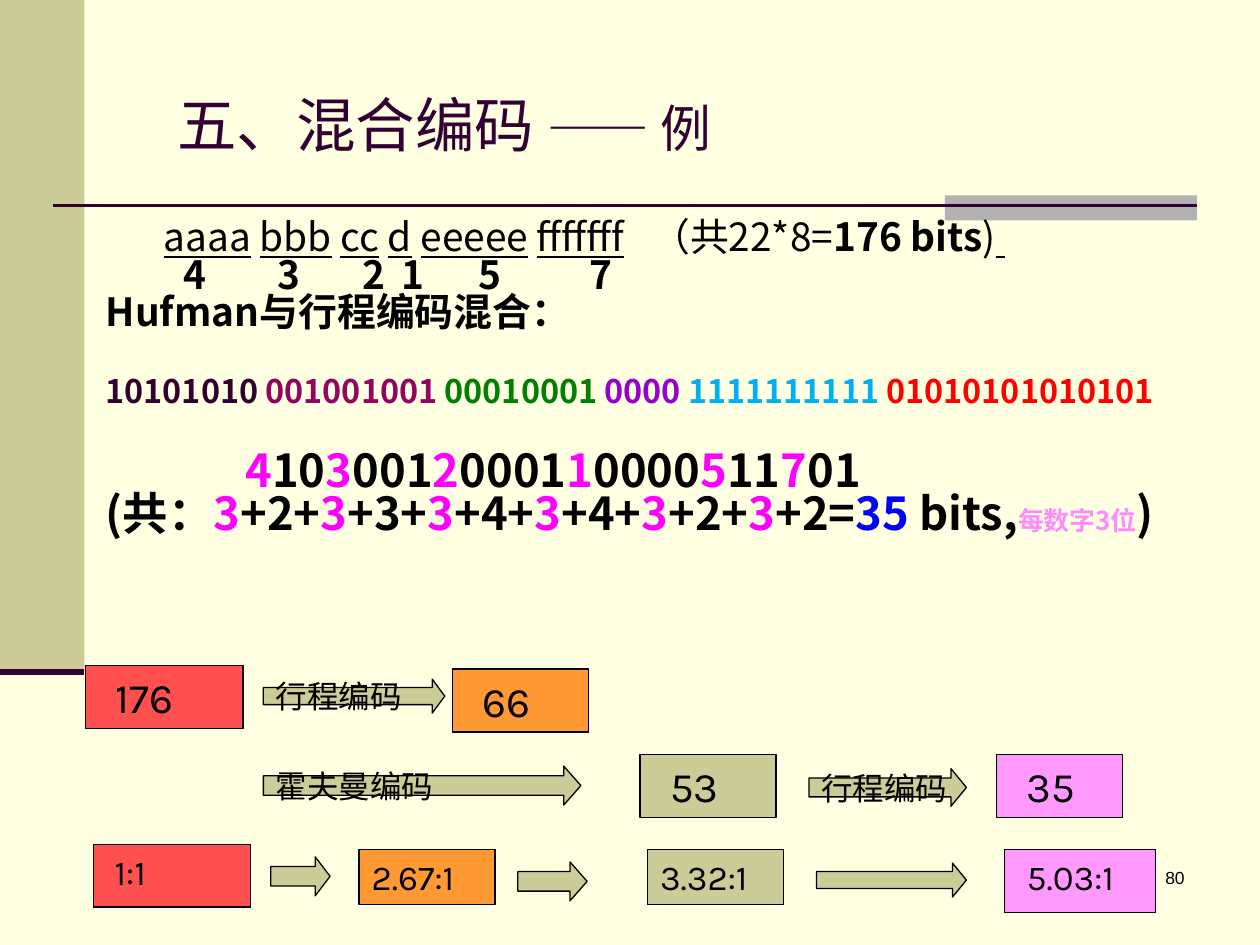
import collections

import pptx
import pptx.dml.color
import pptx.enum.shapes
import pptx.enum.text
import pptx.oxml.ns
import pptx.util
from lxml import etree

COLORS = {
    "cream": "FFFFE1", "khaki": "CCCC99", "grey": "B2B2B2", "plum": "330033",
    "black": "000000", "wine": "92045F", "green": "008000", "violet": "9900CC",
    "sky": "00B0F0", "red": "FF0000", "magenta": "FF00FF", "blue": "0000FF",
    "pink": "FF8CFF", "coral": "FF5050", "orange": "FF9933", "rose": "FF99FF",
}
HAN = "Noto Sans CJK SC"
UNIT = pptx.util.Inches(0.1)  # the slide is a grid of 100 columns by 75 rows
SHAPES = pptx.enum.shapes.MSO_SHAPE
ANCHORS = pptx.enum.text.MSO_ANCHOR
Box = collections.namedtuple("Box", "left top width height")


def within(box, left, top, width, height):
    """Place a box by its offset in columns and rows from a parent box."""
    return Box(box.left + left, box.top + top, width, height)


def units(*values):
    return [round(value * UNIT) for value in values]


def rgb(color):
    return pptx.dml.color.RGBColor.from_string(COLORS[color])


def add_run(paragraph, text, color="black", font=HAN, size=18, **formats):
    run = paragraph.add_run()
    run.text = text
    formats.update(name=font, size=pptx.util.Pt(size))
    for name, value in formats.items():
        setattr(run.font, name, value)
    run.font.color.rgb = rgb(color)
    east_asian = etree.SubElement(run.font._element, pptx.oxml.ns.qn("a:ea"))
    east_asian.set("typeface", HAN)


def set_frame(shape, **formats):
    frame = shape.text_frame
    formats = {"word_wrap": True, "vertical_anchor": ANCHORS.TOP, **formats}
    for name, value in formats.items():
        setattr(frame, name, value)
    frame.paragraphs[0].alignment = pptx.enum.text.PP_ALIGN.LEFT
    return frame


def add_tabs(paragraph, stops):
    """Add tab stops, given in columns from the left of the text."""
    tab_list = etree.SubElement(
        paragraph._p.get_or_add_pPr(), pptx.oxml.ns.qn("a:tabLst"))
    for stop in stops:
        tab = etree.SubElement(tab_list, pptx.oxml.ns.qn("a:tab"))
        tab.set("pos", str(units(stop)[0]))
        tab.set("algn", "l")


def add_block(slide, box, kind, color, outlined=True):
    shape = slide.shapes.add_shape(kind, *units(*box))
    shape.shadow.inherit = False
    shape.fill.solid()
    shape.fill.fore_color.rgb = rgb(color)
    if outlined:
        shape.line.color.rgb = rgb("black")
        shape.line.width = pptx.util.Pt(0.75)
    else:
        shape.line.fill.background()
    return shape


def add_rule(slide, left, right, top, weight):
    rule = slide.shapes.add_connector(
        pptx.enum.shapes.MSO_CONNECTOR.STRAIGHT, *units(left, top, right, top))
    rule.line.color.rgb = rgb("plum")
    rule.line.width = pptx.util.Pt(weight)
    etree.SubElement(rule._element.spPr, pptx.oxml.ns.qn("a:effectLst"))


def add_backdrop(slide, box):
    for part, color in (((0, 0, 6.7, 53.3), "khaki"), ((75, 15.5, 20, 2), "grey")):
        add_block(slide, within(box, *part), SHAPES.RECTANGLE, color, False)
    add_rule(slide, box.left + 4.2, box.left + 95, box.top + 16.3, 1.5)
    add_rule(slide, box.left, box.left + 6.7, box.top + 53.3, 3.5)


def add_title(slide, box):
    frame = set_frame(slide.shapes.add_textbox(*units(*box)),
                      vertical_anchor=ANCHORS.MIDDLE)
    for text, size, font in (("五、混合编码 ", 34, HAN), ("—— ", 29, "Arial"),
                             ("例", 29, HAN)):
        add_run(frame.paragraphs[0], text, "plum", font, size)


def add_coding_example(slide, box):
    frame = set_frame(slide.shapes.add_textbox(*units(*box)), margin_right=0)

    def add_line(space=None, stops=()):
        paragraph = frame.add_paragraph() if space else frame.paragraphs[0]
        paragraph.line_spacing = 0.7
        if space:
            paragraph.space_before = pptx.util.Pt(space)
        add_tabs(paragraph, stops)
        return paragraph

    letters = add_line(stops=(4.6, 43.3))
    add_run(letters, "\t", font="Arial", size=29.6)
    for index, group in enumerate("aaaa bbb cc d eeeee fffffff".split()):
        if index:
            add_run(letters, " ", size=22.2)
        add_run(letters, group, size=22.2, underline=True)
    add_run(letters, "\t（共22*8=", size=22.2)
    add_run(letters, "176 bits", size=22.2, bold=True)
    add_run(letters, ")", size=22.2)
    add_run(letters, " ", size=22.2, underline=True)

    counts = add_line(2.1, (6.2, 13.6, 20.4, 23.5, 29.6, 38.4))
    for count in "432157":
        add_run(counts, "\t" + count, size=22.2, bold=True)
    add_run(add_line(2.1), "Hufman与行程编码混合：", size=22.2, bold=True)

    codes = add_line(28)
    for text, color in (("10101010 ", "plum"), ("001001001 ", "wine"),
                        ("00010001 ", "green"), ("0000 ", "violet"),
                        ("1111111111 ", "sky"), ("01010101010101", "red")):
        add_run(codes, text, color, size=18.5, bold=True)

    mixed = add_line(27.5, (11.1,))
    add_run(mixed, "\t", size=25.9)
    for length, code in zip("432157", "10 001 0001 0000 11 01".split()):
        add_run(mixed, length, "magenta", size=25.9, bold=True)
        add_run(mixed, code, size=25.9, bold=True)

    total = add_line(2.9)
    add_run(total, "(共：", size=25.9, bold=True)
    for addend in ("+2+", "+3+", "+4+", "+4+", "+2+", "+2="):
        add_run(total, "3", "magenta", size=25.9, bold=True)
        add_run(total, addend, size=25.9, bold=True)
    for text, color, size in (("35", "blue", 25.9), (" bits,", "black", 25.9),
                              ("每数字3位", "pink", 14.8), (")", "black", 25.9)):
        add_run(total, text, color, size=size, bold=True)


def add_value(slide, box, text, color, size, inset):
    shape = add_block(slide, box, SHAPES.RECTANGLE, color)
    frame = set_frame(shape, margin_left=units(inset)[0])
    add_run(frame.paragraphs[0], text, font="Karla", size=size)


def add_step(slide, box, label, head):
    arrow = add_block(slide, box, SHAPES.RIGHT_ARROW, "khaki")
    arrow.adjustments[1] = head
    if label:
        frame = set_frame(arrow, word_wrap=False, vertical_anchor=ANCHORS.MIDDLE)
        add_run(frame.paragraphs[0], label, font="Arial")


def add_flow(slide, box, values, steps, size):
    for part, text, color, inset in values:
        add_value(slide, within(box, *part), text, color, size, inset)
    for part, label, head in steps:
        add_step(slide, within(box, *part), label, head)


def add_slide_number(slide, box):
    frame = set_frame(slide.shapes.add_textbox(*units(*box)))
    frame.paragraphs[0].alignment = pptx.enum.text.PP_ALIGN.RIGHT
    add_run(frame.paragraphs[0], "80", font="Arial", size=10)


def main():
    presentation = pptx.Presentation()
    presentation.slide_width, presentation.slide_height = units(100, 75)
    slide = presentation.slides.add_slide(presentation.slide_layouts[6])
    slide.background.fill.solid()
    slide.background.fill.fore_color.rgb = rgb("cream")

    add_backdrop(slide, Box(0, 0, 100, 75))
    add_title(slide, Box(13.1, 5.6, 61.9, 8.4))
    add_coding_example(slide, Box(7.4, 16.7, 89.2, 33.8))
    bit_values = (((0, 0, 12.5, 5), "176", "coral", 2.4),
                  ((29.1, 0.3, 10.8, 5), "66", "orange", 2.4),
                  ((44, 7.1, 10.8, 5), "53", "khaki", 2.4),
                  ((72.3, 7.1, 10, 5), "35", "rose", 2.4))
    bit_steps = (((14.1, 1.1, 14.4, 2.7), "行程编码", 0.37),
                 ((14.1, 8, 25.2, 3.1), "霍夫曼编码", 0.44),
                 ((57.4, 8.2, 12.5, 3), "行程编码", 0.41))
    add_flow(slide, Box(6.8, 52.8, 82.3, 12.1), bit_values, bit_steps, 24)
    ratio_values = (((0, 0, 12.5, 5), "1:1", "coral", 1.7),
                    ((21.1, 0.4, 10.8, 4.4), "2.67:1", "orange", 1),
                    ((44, 0.4, 10.8, 4.4), "3.32:1", "khaki", 1),
                    ((72.3, 0.4, 12, 5), "5.03:1", "rose", 1.8))
    ratio_steps = (((14.1, 1, 4.7, 3.1), "", 0.38),
                   ((33.7, 1.4, 5.5, 3.1), "", 0.44),
                   ((57.4, 1.5, 11.9, 2.7), "", 0.41))
    add_flow(slide, Box(7.4, 67, 84.3, 5.4), ratio_values, ratio_steps, 20)
    add_slide_number(slide, Box(74.2, 68.3, 20.8, 5))
    presentation.save("out.pptx")


if __name__ == "__main__":
    main()
